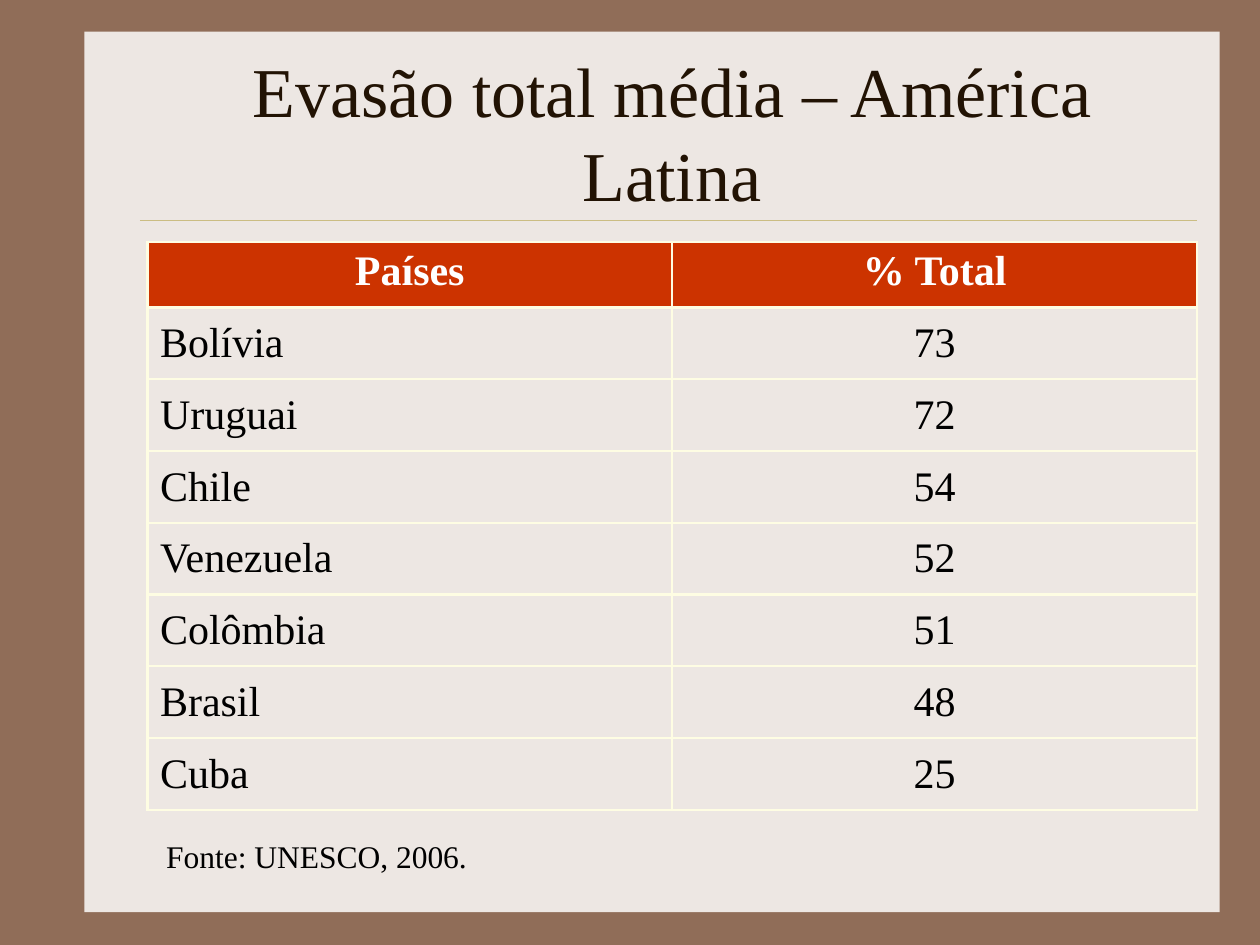
from typing import NamedTuple

from lxml import etree
from pptx import Presentation
from pptx.dml.color import RGBColor
from pptx.enum.shapes import MSO_CONNECTOR, MSO_SHAPE
from pptx.enum.text import MSO_ANCHOR, MSO_AUTO_SIZE, PP_ALIGN
from pptx.oxml.ns import qn
from pptx.util import Inches, Pt

LEFT, CENTER = PP_ALIGN.LEFT, PP_ALIGN.CENTER
TOP, MIDDLE = MSO_ANCHOR.TOP, MSO_ANCHOR.MIDDLE
FONT = "Times New Roman"
COLORS = {
    "back": "906D58",
    "panel": "EDE7E3",
    "rule": "CBBD83",
    "title": "221304",
    "head": "CC3300",
    "white": "FFFFFF",
    "black": "000000",
    "border": "FEFDE3",
}


class Rate(NamedTuple):
    country: str
    total: int


RATES = [
    Rate("Bolívia", 73),
    Rate("Uruguai", 72),
    Rate("Chile", 54),
    Rate("Venezuela", 52),
    Rate("Colômbia", 51),
    Rate("Brasil", 48),
    Rate("Cuba", 25),
]


def rgb(name: str) -> RGBColor:
    return RGBColor.from_string(COLORS[name])


def write(frame, text: str, size: float, color: str,
          align=LEFT, bold: bool = False) -> None:
    para = frame.paragraphs[0]
    para.alignment = align
    run = para.add_run()
    run.text = text
    font = run.font
    font.name, font.size, font.bold = FONT, Pt(size), bold
    font.color.rgb = rgb(color)


def add_borders(cell) -> None:
    props = cell._tc.get_or_add_tcPr()
    for side in ("lnL", "lnR", "lnT", "lnB"):
        line = etree.SubElement(props, qn(f"a:{side}"), w=str(Pt(1.47)))
        fill = etree.SubElement(line, qn("a:solidFill"))
        etree.SubElement(fill, qn("a:srgbClr"), val=COLORS["border"])


def draw_panel(slide) -> None:
    """Draw the light panel and its rule behind the title."""
    panel = slide.shapes.add_shape(
        MSO_SHAPE.RECTANGLE, Inches(0.67), Inches(0.25), Inches(9.01), Inches(6.99))
    panel.shadow.inherit = False
    panel.fill.solid()
    panel.fill.fore_color.rgb = rgb("panel")
    panel.line.fill.background()

    rule = slide.shapes.add_connector(
        MSO_CONNECTOR.STRAIGHT, Inches(1.11), Inches(1.75), Inches(9.5), Inches(1.75))
    rule.line.color.rgb = rgb("rule")
    rule.line.width = Pt(0.25)
    etree.SubElement(rule._element.spPr, qn("a:effectLst"))

    tree = slide.shapes._spTree
    for place, shape in enumerate((panel, rule), start=2):
        tree.insert(place, shape._element)


def draw_title(slide) -> None:
    title = slide.shapes.title
    title.left, title.top = Inches(1.17), Inches(0.42)
    title.width, title.height = Inches(8.33), Inches(1.25)
    frame = title.text_frame
    frame.auto_size = MSO_AUTO_SIZE.NONE
    frame.word_wrap = True
    frame.vertical_anchor = MIDDLE
    write(frame, "Evasão total média – América Latina", 40, "title", CENTER)


def draw_table(slide, rates: list[Rate]) -> None:
    rows = [("Países", "% Total"), *rates]
    table = slide.shapes.add_table(
        len(rows), 2, Inches(1.17), Inches(1.92), Inches(8.33), Inches(4.5)).table
    table.horz_banding = False
    for i, row in enumerate(rows):
        head = i == 0
        table.rows[i].height = Inches(0.52 if head else 0.57)
        for j, value in enumerate(row):
            cell = table.cell(i, j)
            add_borders(cell)
            cell.vertical_anchor = TOP if head else MIDDLE
            if head:
                cell.fill.solid()
                cell.fill.fore_color.rgb = rgb("head")
            else:
                cell.fill.background()
            write(cell.text_frame, str(value), 24, "white" if head else "black",
                  CENTER if head or j == 1 else LEFT, head)


def draw_source(slide) -> None:
    box = slide.shapes.add_textbox(
        Inches(1.22), Inches(6.59), Inches(2.59), Inches(0.4))
    box.text_frame.word_wrap = False
    box.text_frame.auto_size = MSO_AUTO_SIZE.SHAPE_TO_FIT_TEXT
    write(box.text_frame, "Fonte: UNESCO, 2006.", 18, "black")


def main() -> None:
    deck = Presentation()
    deck.slide_width, deck.slide_height = Inches(10), Inches(7.5)
    slide = deck.slides.add_slide(deck.slide_layouts[5])
    slide.background.fill.solid()
    slide.background.fill.fore_color.rgb = rgb("back")
    draw_panel(slide)
    draw_title(slide)
    draw_table(slide, RATES)
    draw_source(slide)
    deck.save("out.pptx")


if __name__ == "__main__":
    main()
